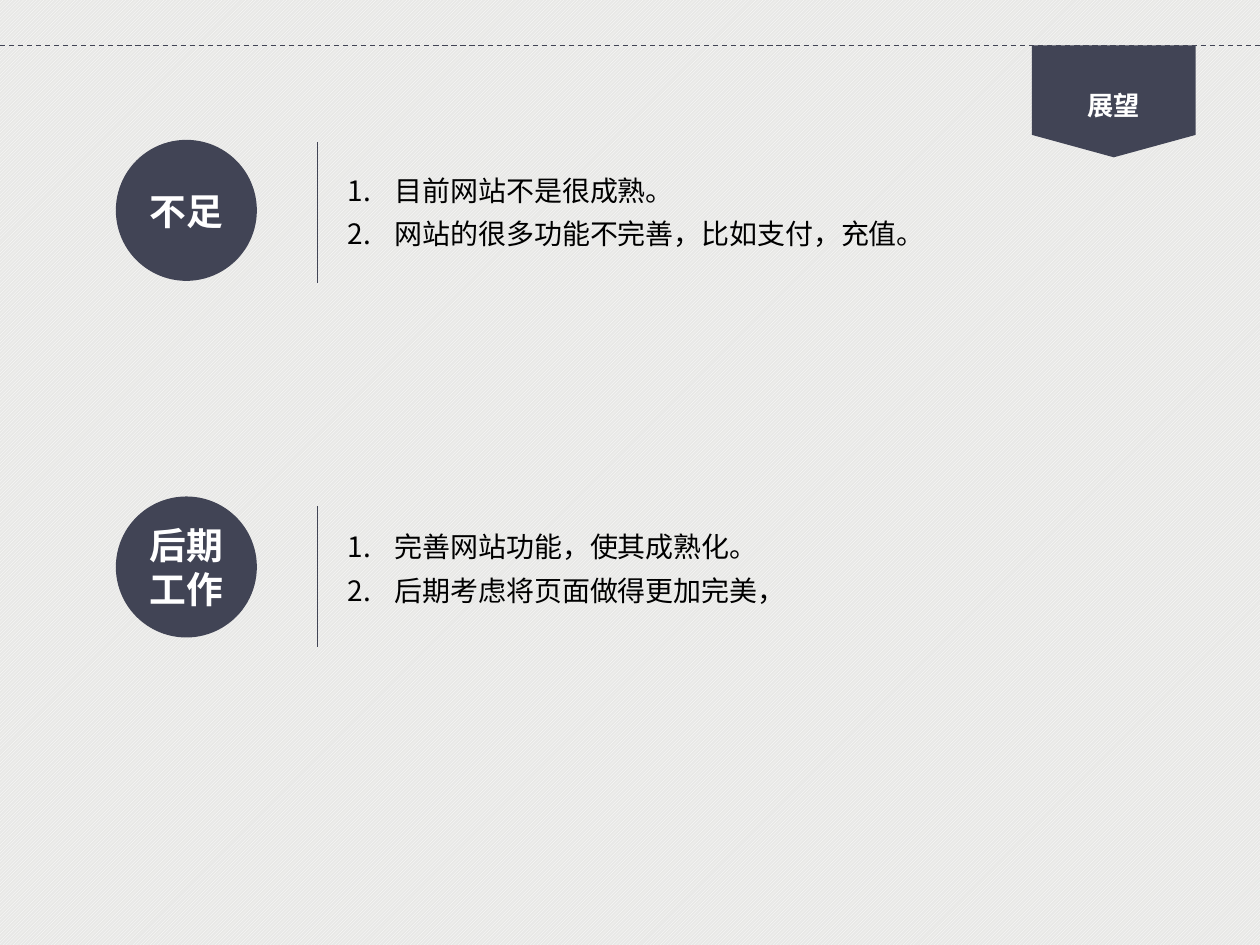
from dataclasses import dataclass

from lxml import etree
from pptx import Presentation
from pptx.dml.color import RGBColor
from pptx.enum.dml import MSO_LINE, MSO_PATTERN
from pptx.enum.shapes import MSO_CONNECTOR, MSO_SHAPE
from pptx.enum.text import MSO_ANCHOR, MSO_AUTO_SIZE, PP_ALIGN
from pptx.oxml.ns import qn
from pptx.util import Pt

DASH = MSO_LINE.DASH
HATCH = MSO_PATTERN.LIGHT_UPWARD_DIAGONAL
STRAIGHT = MSO_CONNECTOR.STRAIGHT
OVAL, TAG = MSO_SHAPE.OVAL, MSO_SHAPE.FLOWCHART_OFFPAGE_CONNECTOR
TOP, MIDDLE = MSO_ANCHOR.TOP, MSO_ANCHOR.MIDDLE
GROW = MSO_AUTO_SIZE.SHAPE_TO_FIT_TEXT
LEFT, CENTER = PP_ALIGN.LEFT, PP_ALIGN.CENTER


@dataclass(frozen=True)
class Theme:
    font: str = "Noto Sans CJK SC"
    navy: RGBColor = RGBColor(0x41, 0x44, 0x55)
    white: RGBColor = RGBColor(0xFF, 0xFF, 0xFF)
    black: RGBColor = RGBColor(0, 0, 0)
    paper: RGBColor = RGBColor(0xE8, 0xE8, 0xE6)
    title: float = 15
    label: float = 21
    body: float = 16
    line: float = 0.75


THEME = Theme()
WIDE, HIGH = 720, 540

# Circle top, drop of the rule below it, label, points
ROWS = [
    (79.9, 1.4, "不足",
     ["目前网站不是很成熟。", "网站的很多功能不完善，比如支付，充值。"]),
    (283.7, 5.7, "后期工作",
     ["完善网站功能，使其成熟化。", "后期考虑将页面做得更加完美，"]),
]


def style(para, size, color, bold=False, align=LEFT):
    para.alignment = align
    font = para.font
    font.size, font.bold, font.name = Pt(size), bold, THEME.font
    font.color.rgb = color
    # East Asian text needs its own typeface entry
    base = para._p.pPr.find(qn("a:defRPr"))
    etree.SubElement(base, qn("a:ea"), typeface=THEME.font)


def number(para, indent):
    props = para._p.get_or_add_pPr()
    props.set("marL", str(Pt(indent)))
    props.set("indent", str(-Pt(indent)))
    etree.SubElement(props, qn("a:buFont"), typeface="+mj-lt")
    etree.SubElement(props, qn("a:buAutoNum"), type="arabicPeriod")


def add_solid(slide, kind, x, y, w, h):
    shape = slide.shapes.add_shape(kind, Pt(x), Pt(y), Pt(w), Pt(h))
    shape.shadow.inherit = False
    shape.fill.solid()
    shape.fill.fore_color.rgb = THEME.navy
    shape.line.fill.background()
    return shape


def add_rule(slide, x1, y1, x2, y2):
    rule = slide.shapes.add_connector(STRAIGHT, Pt(x1), Pt(y1), Pt(x2), Pt(y2))
    rule.line.color.rgb = THEME.navy
    rule.line.width = Pt(THEME.line)
    etree.SubElement(rule.element.spPr, qn("a:effectLst"))
    return rule


def add_header(slide, x, y, w, h):
    # Dashed line across the slide, with the tag hanging from it
    add_rule(slide, 0, y, WIDE, y).line.dash_style = DASH
    tag = add_solid(slide, TAG, x, y, w, h)

    # Title in front of the tag
    title = slide.shapes.title
    tag.element.addnext(title.element)
    title.left, title.top = Pt(x + 24.5), Pt(y + 21.6)
    title.width, title.height = Pt(44.6), Pt(25.2)
    frame = title.text_frame
    frame.text = "展望"
    frame.word_wrap, frame.auto_size = False, GROW
    frame.vertical_anchor = TOP
    style(frame.paragraphs[0], THEME.title, THEME.white, True, CENTER)


def add_row(slide, x, y, size, drop, label, points):
    # Circle with its label
    disc = add_solid(slide, OVAL, x, y, size, size)
    frame = disc.text_frame
    frame.text = label
    frame.word_wrap, frame.vertical_anchor = True, MIDDLE
    style(frame.paragraphs[0], THEME.label, THEME.white, True, CENTER)

    # Numbered points
    box = slide.shapes.add_textbox(Pt(x + 125.3), Pt(y + 9.7),
                                   Pt(372.2), Pt(57.6))
    frame = box.text_frame
    frame.word_wrap, frame.auto_size = True, GROW
    frame.text = "\n".join(points)
    for para in frame.paragraphs:
        number(para, 27)
        para.line_spacing = 1.3
        style(para, THEME.body, THEME.black)

    # Rule between circle and points
    mid = x + 115.2
    add_rule(slide, mid, y + drop, mid, y + drop + size)


def main():
    deck = Presentation()
    deck.slide_width, deck.slide_height = Pt(WIDE), Pt(HIGH)
    slide = deck.slides.add_slide(deck.slide_layouts[5])

    # Hatched background
    fill = slide.background.fill
    fill.patterned()
    fill.pattern = HATCH
    fill.fore_color.rgb, fill.back_color.rgb = THEME.white, THEME.paper

    add_header(slide, 589.7, 25.9, 93.6, 64)
    for top, drop, label, points in ROWS:
        add_row(slide, 66.2, top, 80.6, drop, label, points)
    deck.save("out.pptx")


if __name__ == "__main__":
    main()
